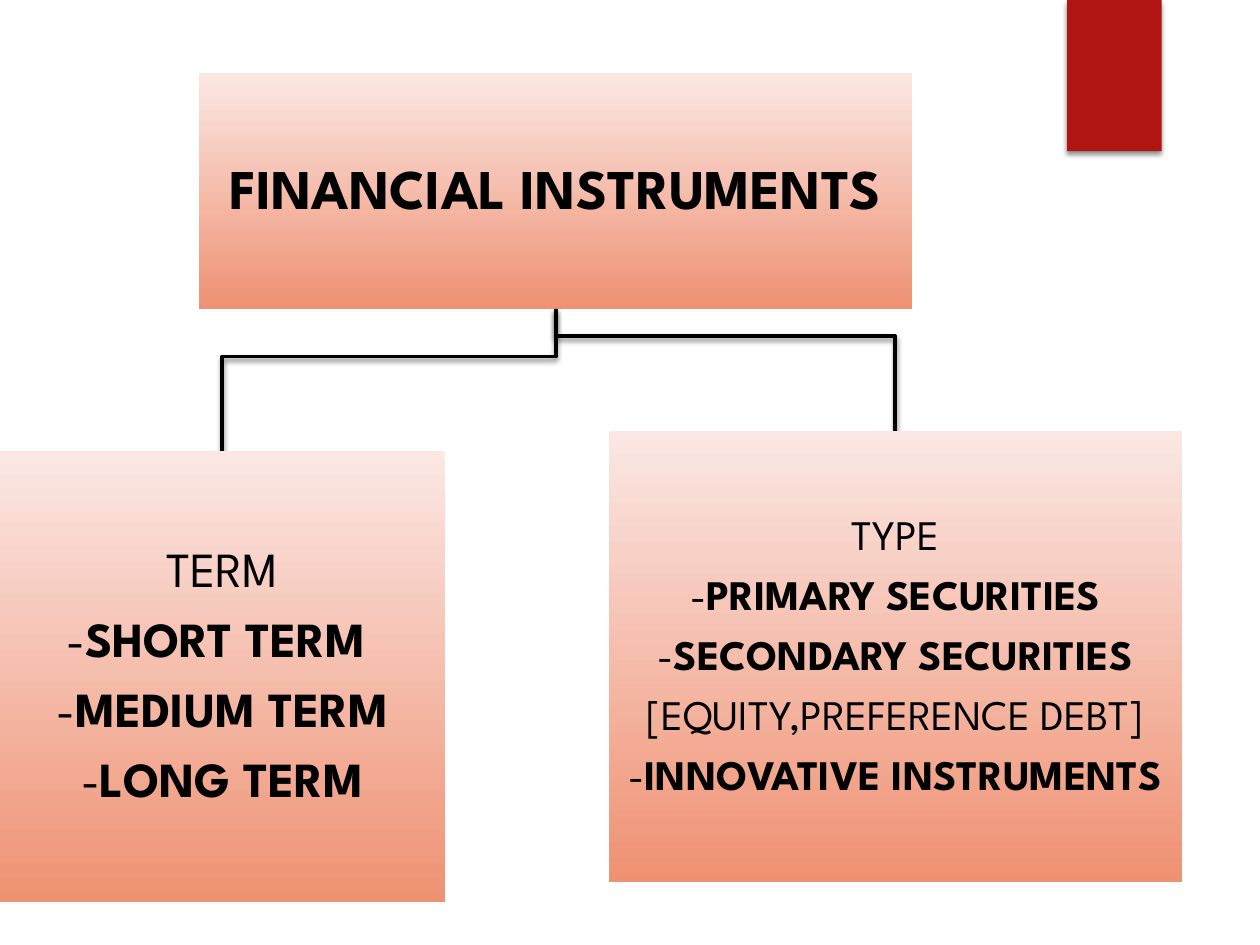
"""Build a slide that splits financial instruments by term and by type."""
import pptx
import pptx.dml.color
import pptx.enum.shapes
import pptx.enum.text
import pptx.oxml
import pptx.oxml.ns
import pptx.util
from pptx.util import Inches

COLORS = {"ribbon": "B01513", "top": "FBE8E4", "bottom": "EF9173", "ink": "000000"}
FONT = "League Spartan"
RIBBON = (8.47, 0, 0.75, 1.2)
ROOT = {"box": (1.58, 0.58, 5.66, 1.87), "size": 32, "lines": [("", "FINANCIAL INSTRUMENTS")]}
BRANCHES = [
    {"box": (4.83, 3.42, 4.55, 3.58), "size": 24, "lines": [
        ("TYPE", ""), ("-", "PRIMARY SECURITIES"), ("-", "SECONDARY SECURITIES"),
        ("[EQUITY,PREFERENCE DEBT]", ""), ("-", "INNOVATIVE INSTRUMENTS")]},
    {"box": (0, 3.58, 3.53, 3.58), "size": 28, "lines": [
        ("TERM", ""), ("-", "SHORT TERM "), ("-", "MEDIUM TERM"), ("-", "LONG TERM")]},
]
DROP_TO_BOX = 0.75
MARGIN = Inches(0.02)
FRAME_FORMAT = {
    "word_wrap": True,
    "auto_size": pptx.enum.text.MSO_AUTO_SIZE.NONE,
    "vertical_anchor": pptx.enum.text.MSO_ANCHOR.MIDDLE,
    "margin_left": MARGIN, "margin_right": MARGIN,
    "margin_top": MARGIN, "margin_bottom": MARGIN,
}


def rgb(name):
    """Return a palette colour."""
    return pptx.dml.color.RGBColor.from_string(COLORS[name])


def apply(target, values):
    """Set each attribute in values on the target."""
    for name, value in values.items():
        setattr(target, name, value)


def add_shadow(shape):
    """Give the shape a soft shadow below it."""
    shape.shadow.inherit = False
    effects = shape._element.spPr.find(pptx.oxml.ns.qn("a:effectLst"))
    effects.append(pptx.oxml.parse_xml(
        f'<a:outerShdw {pptx.oxml.ns.nsdecls("a")} blurRad="38100" dist="25400" '
        f'dir="5400000" rotWithShape="0"><a:srgbClr val="{COLORS["ink"]}">'
        '<a:alpha val="45000"/></a:srgbClr></a:outerShdw>'))


def add_rectangle(slide, box):
    """Add a plain rectangle without line or shadow."""
    shape = slide.shapes.add_shape(
        pptx.enum.shapes.MSO_SHAPE.RECTANGLE, *map(Inches, box))
    shape.line.fill.background()
    shape.shadow.inherit = False
    return shape


def format_box(shape, node):
    """Fill the box with the gradient and write its lines."""
    shape.fill.gradient()
    shape.fill.gradient_angle = 270
    for stop, name in zip(shape.fill.gradient_stops, ("top", "bottom")):
        stop.color.rgb = rgb(name)
    frame = shape.text_frame
    apply(frame, FRAME_FORMAT)
    size = node["size"]
    for index, parts in enumerate(node["lines"]):
        paragraph = frame.add_paragraph() if index else frame.paragraphs[0]
        apply(paragraph, {
            "alignment": pptx.enum.text.PP_ALIGN.CENTER, "line_spacing": 0.9,
            "space_before": pptx.util.Pt(0), "space_after": pptx.util.Pt(size * 0.35)})
        for text, bold in zip(parts, (False, True)):
            if text:
                run = paragraph.add_run()
                run.text = text
                apply(run.font, {"name": FONT, "size": pptx.util.Pt(size), "bold": bold})
                run.font.color.rgb = rgb("ink")


def add_branch_line(slide, box):
    """Draw the bent line from the root box to the top of a branch box."""
    left, top, width, height = ROOT["box"]
    start_x, start_y = left + width / 2, top + height
    end_x, end_y = box[0] + box[2] / 2, box[1]
    bend_y = end_y - DROP_TO_BOX
    points = [(start_x, bend_y), (end_x, bend_y), (end_x, end_y)]
    builder = slide.shapes.build_freeform(Inches(start_x), Inches(start_y))
    builder.add_line_segments([(Inches(x), Inches(y)) for x, y in points], close=False)
    line = builder.convert_to_shape()
    line.fill.background()
    line.line.color.rgb = rgb("ink")
    line.line.width = pptx.util.Pt(2.25)
    add_shadow(line)


presentation = pptx.Presentation()
apply(presentation, {"slide_width": Inches(10), "slide_height": Inches(7.5)})
slide = presentation.slides.add_slide(presentation.slide_layouts[5])

ribbon = add_rectangle(slide, RIBBON)
ribbon.fill.solid()
ribbon.fill.fore_color.rgb = rgb("ribbon")
add_shadow(ribbon)

for branch in BRANCHES:
    add_branch_line(slide, branch["box"])

title = slide.shapes.title
apply(title, dict(zip(("left", "top", "width", "height"), map(Inches, ROOT["box"]))))
format_box(title, ROOT)
for branch in BRANCHES:
    format_box(add_rectangle(slide, branch["box"]), branch)

presentation.save("out.pptx")
